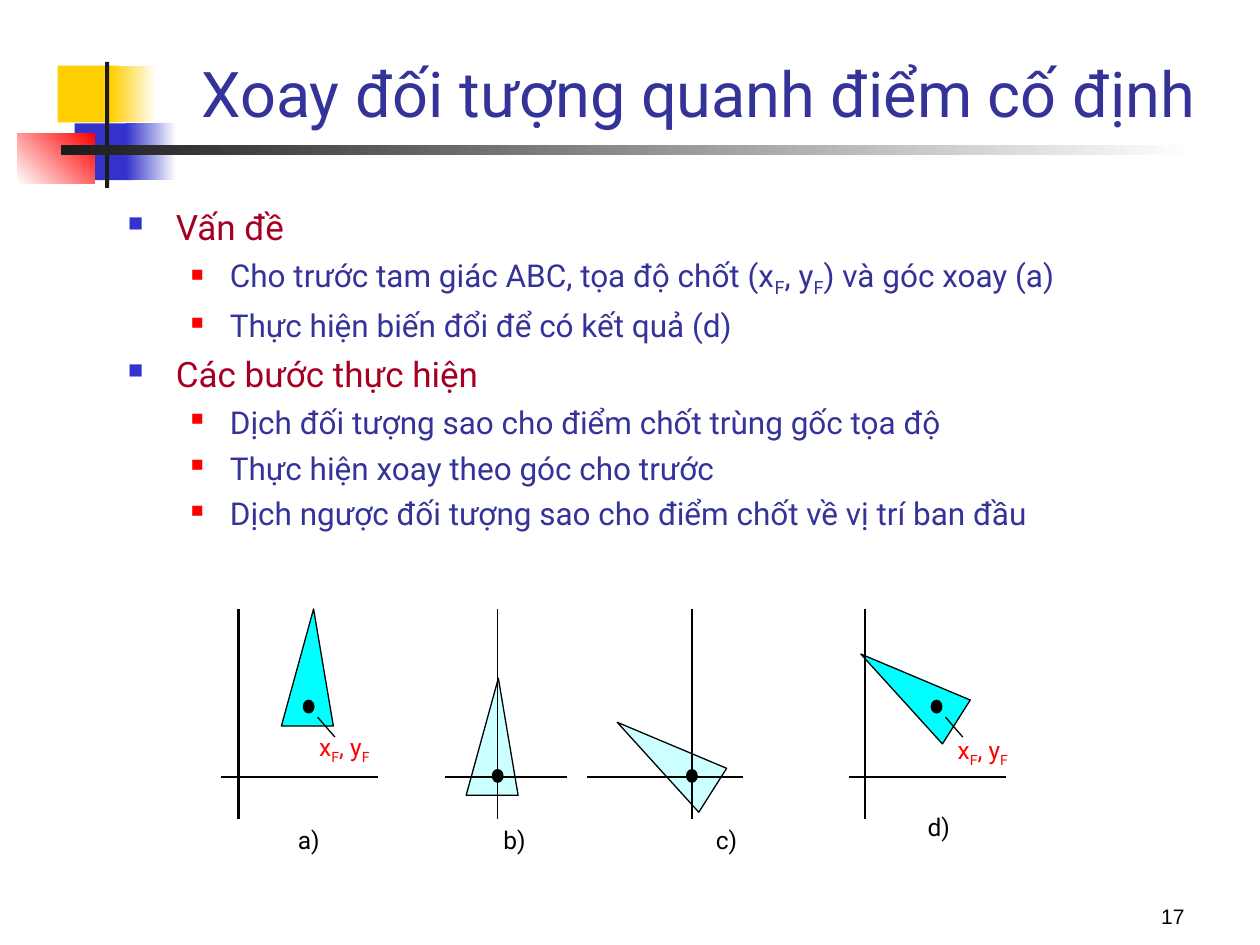
from dataclasses import dataclass
from typing import Optional

from lxml import etree
from pptx import Presentation
from pptx.dml.color import RGBColor
from pptx.enum.shapes import MSO_CONNECTOR, MSO_SHAPE
from pptx.enum.text import MSO_ANCHOR, PP_ALIGN
from pptx.oxml.ns import qn
from pptx.util import Inches, Pt

RECT, OVAL, TRIANGLE = MSO_SHAPE.RECTANGLE, MSO_SHAPE.OVAL, MSO_SHAPE.ISOSCELES_TRIANGLE
LINE = MSO_CONNECTOR.STRAIGHT
LEFT, CENTER, RIGHT = PP_ALIGN.LEFT, PP_ALIGN.CENTER, PP_ALIGN.RIGHT
TOP, BOTTOM = MSO_ANCHOR.TOP, MSO_ANCHOR.BOTTOM

COLORS = {
    "yellow": "FFCF01", "blue": "3333CC", "red": "FF0000", "dark": "1C1C1C",
    "white": "FFFFFF", "black": "000000", "navy": "333399", "maroon": "A50021",
    "cyan": "00FFFF", "pale": "CCFFFF",
}
WIDTH, HEIGHT = Inches(10), Inches(7.5)
COLS, ROWS = 120, 90
AXIS_TOP, AXIS_BOTTOM, AXIS_ROW = 58, 78, 74
THIN, THICK = 0.75, 1.5

Box = tuple[float, float, float, float]
Point = tuple[float, float]
Runs = list[tuple[str, bool]]  # text, is subscript


@dataclass
class Block:
    box: Box
    color: str
    end: Optional[str] = None
    angle: float = 0


@dataclass
class Level:
    size: float
    color: str
    bullet_color: str
    bullet_size: int
    margin: float
    hanging: float
    before: float


@dataclass
class Panel:
    caption: str
    caption_at: Point
    triangle_at: Point
    fill: str
    rotation: float
    pivot: Point
    axis_col: float
    axis_span: Point
    weight: float
    label_at: Optional[Point] = None


BLOCKS = [
    Block((5.5, 6.25, 5.75, 5.4), "yellow"),
    Block((10.6, 6.25, 4.3, 5.4), "yellow", "white"),
    Block((7.1, 11.75, 5.5, 5.4), "blue"),
    Block((12, 11.75, 4.8, 5.4), "blue", "white"),
    Block((1.65, 12.7, 7.35, 4.8), "white", "red", 45),
    Block((10, 5.9, 0.4, 12), "dark"),
    Block((5.8, 13.8, 108, 1), "dark", "white"),
]
TOPIC = Level(20, "maroon", "blue", 60, 0.38, 0.38, 5)
STEP = Level(18, "navy", "red", 55, 0.81, 0.31, 4.5)
BODY: list[tuple[Level, Runs]] = [
    (TOPIC, [("Vấn đề", False)]),
    (STEP, [("Cho trước tam giác ABC, tọa độ chốt (x", False), ("F", True),
            (", y", False), ("F", True), (") và góc xoay (a)", False)]),
    (STEP, [("Thực hiện biến đổi để có kết quả (d)", False)]),
    (TOPIC, [("Các bước thực hiện", False)]),
    (STEP, [("Dịch đối tượng sao cho điểm chốt trùng gốc tọa độ", False)]),
    (STEP, [("Thực hiện xoay theo góc cho trước", False)]),
    (STEP, [("Dịch ngược đối tượng sao cho điểm chốt về vị trí ban đầu", False)]),
]
PIVOT_NAME: Runs = [("x", False), ("F", True), (", y", False), ("F", True)]
PANELS = [
    Panel("a)", (24.4, 78), (26.8, 58), "cyan", 0, (29.4, 67.3),
          22.7, (21, 36), THICK, (27.8, 69.1)),
    Panel("b)", (44, 78), (44.4, 64.6), "pale", 0, (47.4, 73.9),
          47.4, (42.4, 54), THIN),
    Panel("c)", (64.2, 78), (60.7, 66.7), "pale", 302.4, (65.9, 73.9),
          65.9, (55.9, 70.8), THIN),
    Panel("d)", (84.4, 76.7), (83.9, 60.2), "cyan", 302.4, (89.2, 67.3),
          82.4, (80.9, 95.8), THICK, (88.6, 69.4)),
]


def rgb(name: str) -> RGBColor:
    return RGBColor.from_string(COLORS[name])


def x(col: float) -> int:
    return round(WIDTH * col / COLS)


def y(row: float) -> int:
    return round(HEIGHT * row / ROWS)


def place(box: Box) -> tuple[int, int, int, int]:
    """Turn a box in grid units into slide lengths."""
    left, top, width, height = box
    return x(left), y(top), x(width), y(height)


def add_shape(s, kind, box: Box, fill: str, outlined: bool = False):
    sp = s.shapes.add_shape(kind, *place(box))
    sp.shadow.inherit = False
    sp.fill.solid()
    sp.fill.fore_color.rgb = rgb(fill)
    if outlined:
        sp.line.color.rgb = rgb("black")
        sp.line.width = Pt(THIN)
    else:
        sp.line.fill.background()
    return sp


def add_block(s, block: Block) -> None:
    sp = add_shape(s, RECT, block.box, block.color)
    if block.end:
        sp.fill.gradient()
        sp.fill.gradient_angle = block.angle
        for stop, name in zip(sp.fill.gradient_stops, (block.color, block.end)):
            stop.color.rgb = rgb(name)


def add_line(s, start: Point, end: Point, weight: float) -> None:
    line = s.shapes.add_connector(LINE, x(start[0]), y(start[1]), x(end[0]), y(end[1]))
    line.line.color.rgb = rgb("black")
    line.line.width = Pt(weight)
    etree.SubElement(line._element.spPr, qn("a:effectLst"))


def add_runs(p, runs: Runs, size: float, color: str, font: str = "Roboto") -> None:
    for text, subscript in runs:
        r = p.add_run()
        r.text = text
        r.font.name, r.font.size, r.font.color.rgb = font, Pt(size), rgb(color)
        if subscript:
            r._r.get_or_add_rPr().set("baseline", "-25000")


def add_frame(s, box: Box, anchor=TOP):
    tf = s.shapes.add_textbox(*place(box)).text_frame
    tf.word_wrap = True
    tf.vertical_anchor = anchor
    return tf


def add_text(s, box: Box, runs: Runs, size: float, color: str, align=CENTER,
             anchor=TOP, font: str = "Roboto", gap: float = 0) -> None:
    p = add_frame(s, box, anchor).paragraphs[0]
    p.alignment = align
    p.space_before = p.space_after = Pt(gap)
    add_runs(p, runs, size, color, font)


def set_bullet(p, level: Level) -> None:
    pPr = p._p.get_or_add_pPr()
    pPr.set("marL", str(Inches(level.margin)))
    pPr.set("indent", str(-Inches(level.hanging)))
    color = etree.SubElement(pPr, qn("a:buClr"))
    etree.SubElement(color, qn("a:srgbClr"), val=COLORS[level.bullet_color])
    etree.SubElement(pPr, qn("a:buSzPct"), val=str(level.bullet_size * 1000))
    etree.SubElement(pPr, qn("a:buChar"), char="■")


def add_body(s) -> None:
    tf = add_frame(s, (11, 19, 106.5, 61.5))
    for i, (level, runs) in enumerate(BODY):
        p = tf.add_paragraph() if i else tf.paragraphs[0]
        p.space_before = Pt(level.before)
        set_bullet(p, level)
        add_runs(p, runs, level.size, level.color)


def add_panel(s, panel: Panel) -> None:
    sp = add_shape(s, TRIANGLE, (*panel.triangle_at, 4.95, 11.15), panel.fill, True)
    sp.adjustments[0] = 0.62
    sp.rotation = panel.rotation
    start, end = panel.axis_span
    add_line(s, (panel.axis_col, AXIS_TOP), (panel.axis_col, AXIS_BOTTOM), panel.weight)
    add_line(s, (start, AXIS_ROW), (end, AXIS_ROW), panel.weight)
    col, row = panel.pivot
    add_shape(s, OVAL, (col - 0.5, row - 0.6, 1, 1.2), "black", True)
    if panel.label_at:
        add_text(s, (*panel.label_at, 10, 6), PIVOT_NAME, 14, "red", gap=1)
        add_line(s, (col + 0.85, row + 1), (col + 2.5, row + 2.9), THIN)
    add_text(s, (*panel.caption_at, 10, 6), [(panel.caption, False)], 14, "black", gap=1)


def main() -> None:
    prs = Presentation()
    prs.slide_width, prs.slide_height = WIDTH, HEIGHT
    s = prs.slides.add_slide(prs.slide_layouts[6])
    for block in BLOCKS:
        add_block(s, block)
    add_text(s, (97, 83, 17, 6), [("17", False)], 12, "black", RIGHT, BOTTOM, "Arial")
    add_text(s, (18, 3, 100.3, 10), [("Xoay đối tượng quanh điểm cố định", False)],
             36, "navy", LEFT, BOTTOM)
    add_body(s)
    for panel in PANELS:
        add_panel(s, panel)
    prs.save("out.pptx")


if __name__ == "__main__":
    main()
